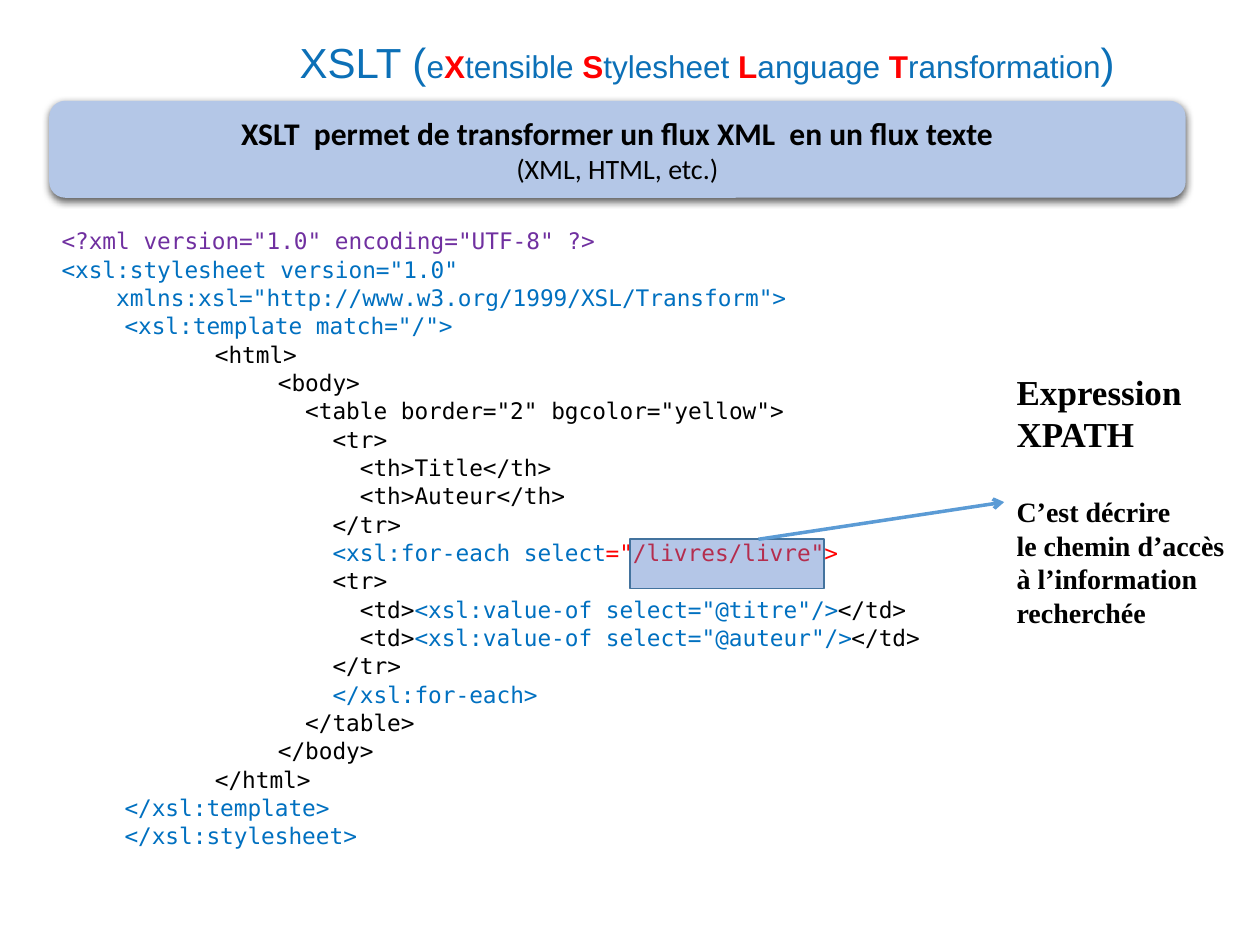
"""Build a slide that introduces XSLT with a commented stylesheet."""
from dataclasses import dataclass
from typing import Optional

import pptx
import pptx.dml.color
import pptx.enum.shapes
import pptx.enum.text
import pptx.oxml
import pptx.oxml.ns
import pptx.util
from pptx.dml.color import RGBColor
from pptx.util import Inches

TITLE_BLUE = RGBColor(0x0C, 0x70, 0xB7)
CODE_BLUE = RGBColor(0x00, 0x70, 0xC0)
PURPLE = RGBColor(0x70, 0x30, 0xA0)
RED = RGBColor(0xFF, 0x00, 0x00)
BLACK = RGBColor(0x00, 0x00, 0x00)
WHITE = RGBColor(0xFF, 0xFF, 0xFF)
BANNER_BLUE = RGBColor(0xB4, 0xC7, 0xE7)
MARK_FILL = RGBColor(0x44, 0x72, 0xC4)
MARK_LINE = RGBColor(0x43, 0x73, 0x9E)
ARROW_BLUE = RGBColor(0x5B, 0x9B, 0xD5)

CODE_STEP = 0.217
HTML_INDENT = 1 + CODE_STEP
BODY_INDENT = 1.5 + CODE_STEP
TABLE_INDENT, ROW_INDENT, CELL_INDENT = (BODY_INDENT + n * CODE_STEP for n in (1, 2, 3))


@dataclass(frozen=True)
class Span:
    text: str
    color: Optional[RGBColor] = None
    bold: Optional[bool] = None
    size: Optional[float] = None


@dataclass(frozen=True)
class Para:
    spans: tuple[Span, ...]
    font: str
    size: float
    color: RGBColor = BLACK
    bold: bool = False
    indent: float = 0
    line_spacing: float = 1.0
    space_before: float = 0
    align: pptx.enum.text.PP_ALIGN = pptx.enum.text.PP_ALIGN.LEFT


def code(indent: float, *spans: Span, color: RGBColor = BLACK, space_before: float = 6.8) -> Para:
    return Para(spans, "DejaVu Sans Mono", 13, color, indent=indent,
                line_spacing=0.6, space_before=space_before)


def value_cell(attribute: str) -> Para:
    return code(CELL_INDENT, Span("<td>"),
                Span(f'<xsl:value-of select="@{attribute}"/>', CODE_BLUE), Span("</td>"))


def note(text: str, size: float, space_before: float = 0) -> Para:
    return Para((Span(text),), "Times New Roman", size, bold=True, space_before=space_before)


def initial(letter: str, rest: str) -> tuple[Span, Span]:
    return Span(letter, RED, True), Span(rest)


TITLE = (
    Para((Span("XSLT (", size=24), Span("e"), *initial("X", "tensible "),
          *initial("S", "tylesheet "), *initial("L", "anguage "),
          *initial("T", "ransformation"), Span(")", size=24)),
         "Arial", 18, TITLE_BLUE, line_spacing=0.9),
)
BANNER = (
    Para((Span("XSLT  permet de transformer un flux XML  en un flux texte"),),
         "Calibri", 18, bold=True, align=pptx.enum.text.PP_ALIGN.CENTER),
    Para((Span("(XML, HTML, etc.)"),), "Calibri", 16, align=pptx.enum.text.PP_ALIGN.CENTER),
)
STYLESHEET = (
    code(0, Span('<?xml version="1.0" encoding="UTF-8" ?>'), color=PURPLE, space_before=0),
    code(0, Span('<xsl:stylesheet version="1.0"'), color=CODE_BLUE),
    code(2 * CODE_STEP, Span('xmlns:xsl="http://www.w3.org/1999/XSL/Transform">'), color=CODE_BLUE),
    code(0.5, Span('<xsl:template match="/">'), color=CODE_BLUE),
    code(HTML_INDENT, Span("<html>")),
    code(BODY_INDENT, Span("<body>")),
    code(TABLE_INDENT, Span('<table border="2" bgcolor="yellow">')),
    code(ROW_INDENT, Span("<tr>")),
    code(CELL_INDENT, Span("<th>Title</th>")),
    code(CELL_INDENT, Span("<th>Auteur</th>")),
    code(ROW_INDENT, Span("</tr>")),
    code(ROW_INDENT, Span("<xsl:for-each select", CODE_BLUE), Span('="/livres/livre">', RED)),
    code(ROW_INDENT, Span("<tr>")),
    value_cell("titre"),
    value_cell("auteur"),
    code(ROW_INDENT, Span("</tr>")),
    code(ROW_INDENT, Span("</xsl:for-each>"), color=CODE_BLUE),
    code(TABLE_INDENT, Span("</table>")),
    code(BODY_INDENT, Span("</body>")),
    code(HTML_INDENT, Span("</html>")),
    code(0.5, Span("</xsl:template>"), color=CODE_BLUE),
    code(0.5, Span("</xsl:stylesheet>"), color=CODE_BLUE),
)
XPATH_NOTE = (
    note("Expression", 20),
    note("XPATH", 20),
    note("C’est décrire", 16, space_before=23),
    note("le chemin d’accès", 16),
    note("à l’information", 16),
    note("recherchée", 16),
)


def write(shape, paras: tuple[Para, ...], wrap: bool = True,
          anchor=pptx.enum.text.MSO_ANCHOR.TOP) -> None:
    frame = shape.text_frame
    frame.word_wrap = wrap
    frame.vertical_anchor = anchor
    for index, item in enumerate(paras):
        para = frame.add_paragraph() if index else frame.paragraphs[0]
        para.alignment = item.align
        para.line_spacing = item.line_spacing
        para.space_before = pptx.util.Pt(item.space_before)
        if item.indent:
            para._p.get_or_add_pPr().set("marL", str(Inches(item.indent)))
        para.font.name = item.font
        para.font.size = pptx.util.Pt(item.size)
        para.font.bold = item.bold
        para.font.color.rgb = item.color
        for part in item.spans:
            span = para.add_run()
            span.text = part.text
            if part.color is not None:
                span.font.color.rgb = part.color
            if part.bold is not None:
                span.font.bold = part.bold
            if part.size is not None:
                span.font.size = pptx.util.Pt(part.size)


def add_box(page, kind, left: float, top: float, width: float, height: float,
            fill: Optional[RGBColor] = None, opacity: int = 100):
    box = page.shapes.add_shape(kind, Inches(left), Inches(top), Inches(width), Inches(height))
    box.shadow.inherit = False
    box.line.fill.background()
    if fill is None:
        box.fill.background()
        return box
    box.fill.solid()
    box.fill.fore_color.rgb = fill
    if opacity < 100:
        color = box._element.spPr.find(".//" + pptx.oxml.ns.qn("a:srgbClr"))
        add_xml(color, f'<a:alpha {pptx.oxml.ns.nsdecls("a")} val="{opacity * 1000}"/>')
    return box


def add_xml(parent, xml: str) -> None:
    parent.append(pptx.oxml.parse_xml(xml))


def main() -> None:
    deck = pptx.Presentation()
    deck.slide_width, deck.slide_height = Inches(10), Inches(7.5)
    page = deck.slides.add_slide(deck.slide_layouts[6])
    names = pptx.oxml.ns.nsdecls("a")
    shapes = pptx.enum.shapes.MSO_SHAPE
    middle = pptx.enum.text.MSO_ANCHOR.MIDDLE

    title = page.shapes.add_textbox(Inches(2.28), Inches(0.16), Inches(7.72), Inches(0.71))
    write(title, TITLE, anchor=middle)

    listing = add_box(page, shapes.RECTANGLE, 0.39, 1.83, 7.36, 5.29, WHITE, 59)
    write(listing, STYLESHEET)

    banner = add_box(page, shapes.ROUNDED_RECTANGLE, 0.39, 0.8, 9.02, 0.77, BANNER_BLUE)
    write(banner, BANNER, anchor=middle)
    add_xml(banner._element.spPr.find(pptx.oxml.ns.qn("a:effectLst")),
            f'<a:outerShdw {names} blurRad="{pptx.util.Pt(4.5)}" dist="{pptx.util.Pt(1.5)}" '
            'dir="5400000" rotWithShape="0"><a:srgbClr val="000000">'
            '<a:alpha val="63000"/></a:srgbClr></a:outerShdw>')

    mark = add_box(page, shapes.RECTANGLE, 5, 4.28, 1.54, 0.39, MARK_FILL, 40)
    mark.line.color.rgb = MARK_LINE
    mark.line.width = pptx.util.Pt(1)

    arrow = page.shapes.add_connector(pptx.enum.shapes.MSO_CONNECTOR.STRAIGHT,
                                      Inches(6.02), Inches(4.28), Inches(7.97), Inches(3.99))
    arrow.line.color.rgb = ARROW_BLUE
    arrow.line.width = pptx.util.Pt(2)
    add_xml(arrow.line._get_or_add_ln(), f'<a:tailEnd {names} type="arrow"/>')
    add_xml(arrow._element.spPr, f"<a:effectLst {names}/>")

    remark = page.shapes.add_textbox(Inches(7.97), Inches(2.89), Inches(1.88), Inches(2.19))
    write(remark, XPATH_NOTE, wrap=False)
    arrow.end_connect(remark, 1)

    deck.save("out.pptx")


if __name__ == "__main__":
    main()
